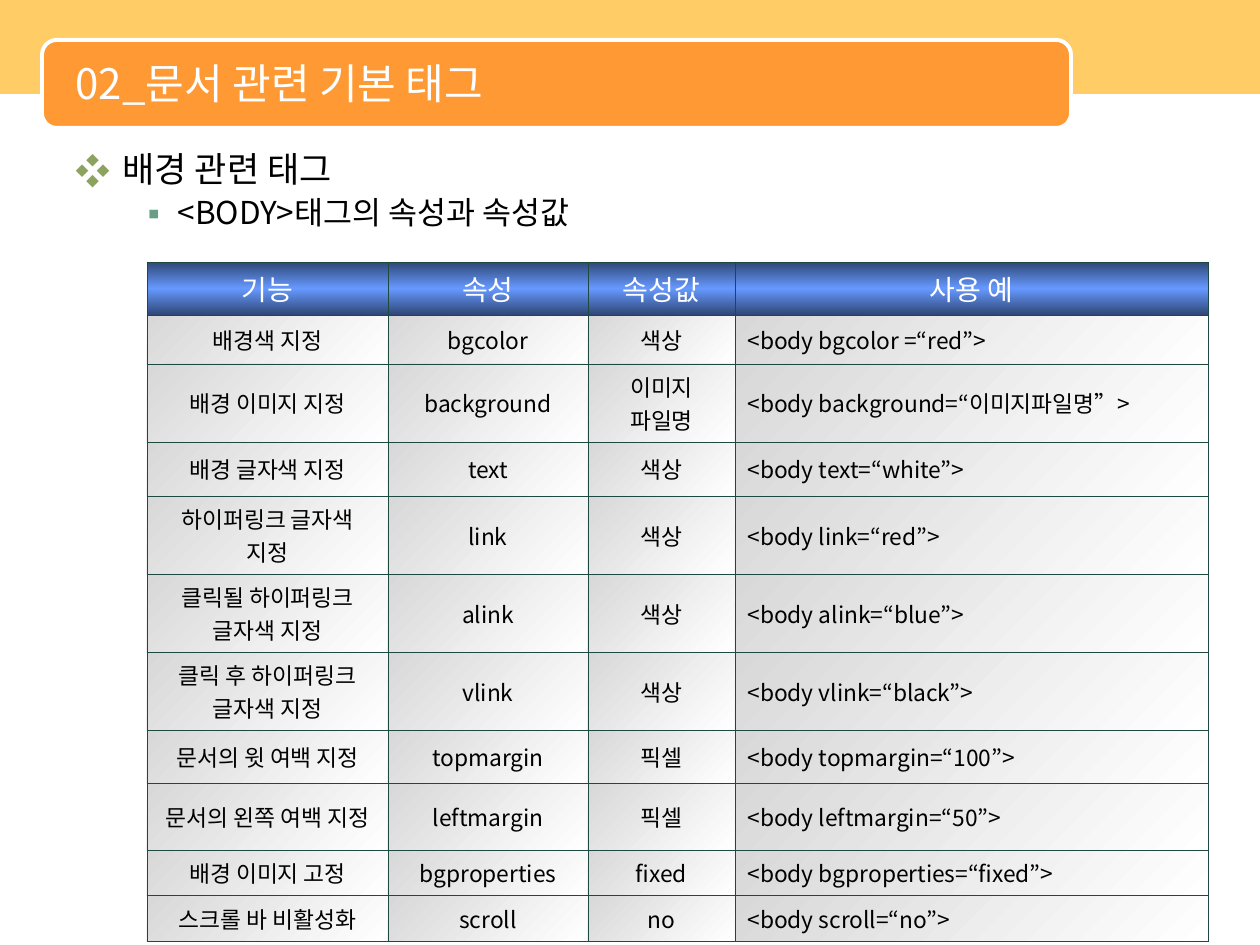
from dataclasses import dataclass

from lxml import etree
from pptx import Presentation
from pptx import util as u
from pptx.dml.color import RGBColor
from pptx.enum import shapes, text
from pptx.oxml import ns

SCALE = 914400 / 126  # EMU in one px


@dataclass(frozen=True)
class Theme:
    font: str = "Noto Sans CJK KR"
    white: str = "FFFFFF"
    black: str = "000000"
    band: str = "FFCC66"
    plate: str = "FF9933"
    border: str = "1D4940"
    bullets: tuple = (("❖", "8CA35F"), ("▪", "669E86"))
    header_gradient: tuple = ((0, "2F4776"), (50, "6699FF"), (100, "2F4776"))
    cell_gradient: tuple = ((0, "D8D8D8"), (100, "FFFFFF"))
    title_size: int = 24
    list_sizes: tuple = (20, 18)
    header_size: int = 16
    cell_size: int = 13


def px(length):
    return u.Emu(round(length * SCALE))


def add_xml(parent, tag, **attributes):
    return etree.SubElement(parent, ns.qn(tag), {k: str(v) for k, v in attributes.items()})


class SlideBuilder:
    def __init__(self, slide, theme):
        self.slide = slide
        self.theme = theme

    def place(self, shape, left, top, width, height):
        shape.left, shape.top = px(left), px(top)
        shape.width, shape.height = px(width), px(height)

    def style(self, paragraph, size, color):
        for run in paragraph.runs:
            run.font.size = u.Pt(size)
            run.font.bold = False
            run.font.color.rgb = RGBColor.from_string(color)
            run.font.name = self.theme.font
            add_xml(run.font._element, "a:ea", typeface=self.theme.font)

    def panel(self, kind, box, fill, line=None):
        shape = self.slide.shapes.add_shape(kind, *map(px, box))
        shape.shadow.inherit = False
        shape.fill.solid()
        shape.fill.fore_color.rgb = RGBColor.from_string(fill)
        if line:
            shape.line.color.rgb = RGBColor.from_string(line)
            shape.line.width = u.Pt(2.25)
        else:
            shape.line.fill.background()

    def title(self, wording, box):
        title = self.slide.shapes.title
        self.slide.shapes.element.append(title.element)  # in front of the panels
        self.place(title, *box)
        frame = title.text_frame
        frame.text = wording
        frame.auto_size = text.MSO_AUTO_SIZE.NONE
        frame.vertical_anchor = text.MSO_ANCHOR.MIDDLE
        paragraph = frame.paragraphs[0]
        paragraph.alignment = text.PP_ALIGN.LEFT
        self.style(paragraph, self.theme.title_size, self.theme.white)

    def bullet_list(self, items, box, indents):
        body = self.slide.placeholders[1]
        self.place(body, *box)
        frame = body.text_frame
        frame.text = "\n".join(wording for _, wording in items)
        frame.auto_size = text.MSO_AUTO_SIZE.NONE
        for paragraph, (level, _) in zip(frame.paragraphs, items):
            margin, hanging = indents[level]
            mark, color = self.theme.bullets[level]
            paragraph.level = level
            properties = paragraph._p.get_or_add_pPr()
            properties.set("marL", str(px(margin)))
            properties.set("indent", str(px(-hanging)))
            add_xml(add_xml(properties, "a:buClr"), "a:srgbClr", val=color)
            add_xml(properties, "a:buFont", typeface=self.theme.font)
            add_xml(properties, "a:buChar", char=mark)
            paragraph.line_spacing = 0.88
            paragraph.space_before = u.Pt(4.5 if level else 0)
            self.style(paragraph, self.theme.list_sizes[level], self.theme.black)

    def format_cell(self, cell, stops, angle):
        properties = cell._tc.get_or_add_tcPr()
        for side in ("a:lnL", "a:lnR", "a:lnT", "a:lnB"):
            line = add_xml(properties, side, w=u.Pt(0.45))
            add_xml(add_xml(line, "a:solidFill"), "a:srgbClr", val=self.theme.border)
        gradient = add_xml(properties, "a:gradFill", rotWithShape=1)
        stop_list = add_xml(gradient, "a:gsLst")
        for position, color in stops:
            stop = add_xml(stop_list, "a:gs", pos=position * 1000)
            add_xml(stop, "a:srgbClr", val=color)
        add_xml(gradient, "a:lin", ang=angle * 60000, scaled=0)

    def table(self, rows, left, top, widths, heights):
        theme = self.theme
        frame = self.slide.shapes.add_table(
            len(rows), len(widths), px(left), px(top), px(sum(widths)), px(sum(heights)))
        table = frame.table
        table.horz_banding = False
        for column, width in zip(table.columns, widths):
            column.width = px(width)
        for index, (row, height, values) in enumerate(zip(table.rows, heights, rows)):
            row.height = px(height)
            header = index == 0
            for number, (cell, value) in enumerate(zip(row.cells, values)):
                cell.text = value
                cell.vertical_anchor = text.MSO_ANCHOR.MIDDLE
                paragraph = cell.text_frame.paragraphs[0]
                example = number == len(widths) - 1 and not header
                paragraph.alignment = text.PP_ALIGN.LEFT if example else text.PP_ALIGN.CENTER
                if header:
                    self.style(paragraph, theme.header_size, theme.white)
                    self.format_cell(cell, theme.header_gradient, 90)
                else:
                    self.style(paragraph, theme.cell_size, theme.black)
                    self.format_cell(cell, theme.cell_gradient, 45)


ATTRIBUTES = [
    ("기능", "속성", "속성값", "사용 예"),
    ("배경색 지정", "bgcolor", "색상", "<body bgcolor =“red”>"),
    ("배경 이미지 지정", "background", "이미지 파일명", "<body background=“이미지파일명”>"),
    ("배경 글자색 지정", "text", "색상", "<body text=“white”>"),
    ("하이퍼링크 글자색 지정", "link", "색상", "<body link=“red”>"),
    ("클릭될 하이퍼링크 글자색 지정", "alink", "색상", "<body alink=“blue”>"),
    ("클릭 후 하이퍼링크 글자색 지정", "vlink", "색상", "<body vlink=“black”>"),
    ("문서의 윗 여백 지정", "topmargin", "픽셀", "<body topmargin=“100”>"),
    ("문서의 왼쪽 여백 지정", "leftmargin", "픽셀", "<body leftmargin=“50”>"),
    ("배경 이미지 고정", "bgproperties", "fixed", "<body bgproperties=“fixed”>"),
    ("스크롤 바 비활성화", "scroll", "no", "<body scroll=“no”>"),
]


def main():
    presentation = Presentation()
    presentation.slide_width, presentation.slide_height = px(1260), px(945)
    slide = presentation.slides.add_slide(presentation.slide_layouts[1])
    theme = Theme()
    builder = SlideBuilder(slide, theme)

    # Heading band and title plate
    builder.panel(shapes.MSO_SHAPE.RECTANGLE, (0, 0, 1261, 94), theme.band)
    builder.panel(shapes.MSO_SHAPE.ROUNDED_RECTANGLE, (42, 40, 1029, 88),
                  theme.plate, theme.white)
    builder.title("02_문서 관련 기본 태그", (63, 44, 998, 78))

    # Topic list
    builder.bullet_list([(0, "배경 관련 태그"), (1, "<BODY>태그의 속성과 속성값")],
                        (63, 147, 1134, 733), indents=((47, 47), (102, 39)))

    # Attribute table
    builder.table(ATTRIBUTES, 147, 262, widths=(241, 200, 147, 473),
                  heights=(47, 49, 67, 54, 67, 67, 67, 53, 67, 44, 43))

    presentation.save("out.pptx")


if __name__ == "__main__":
    main()
